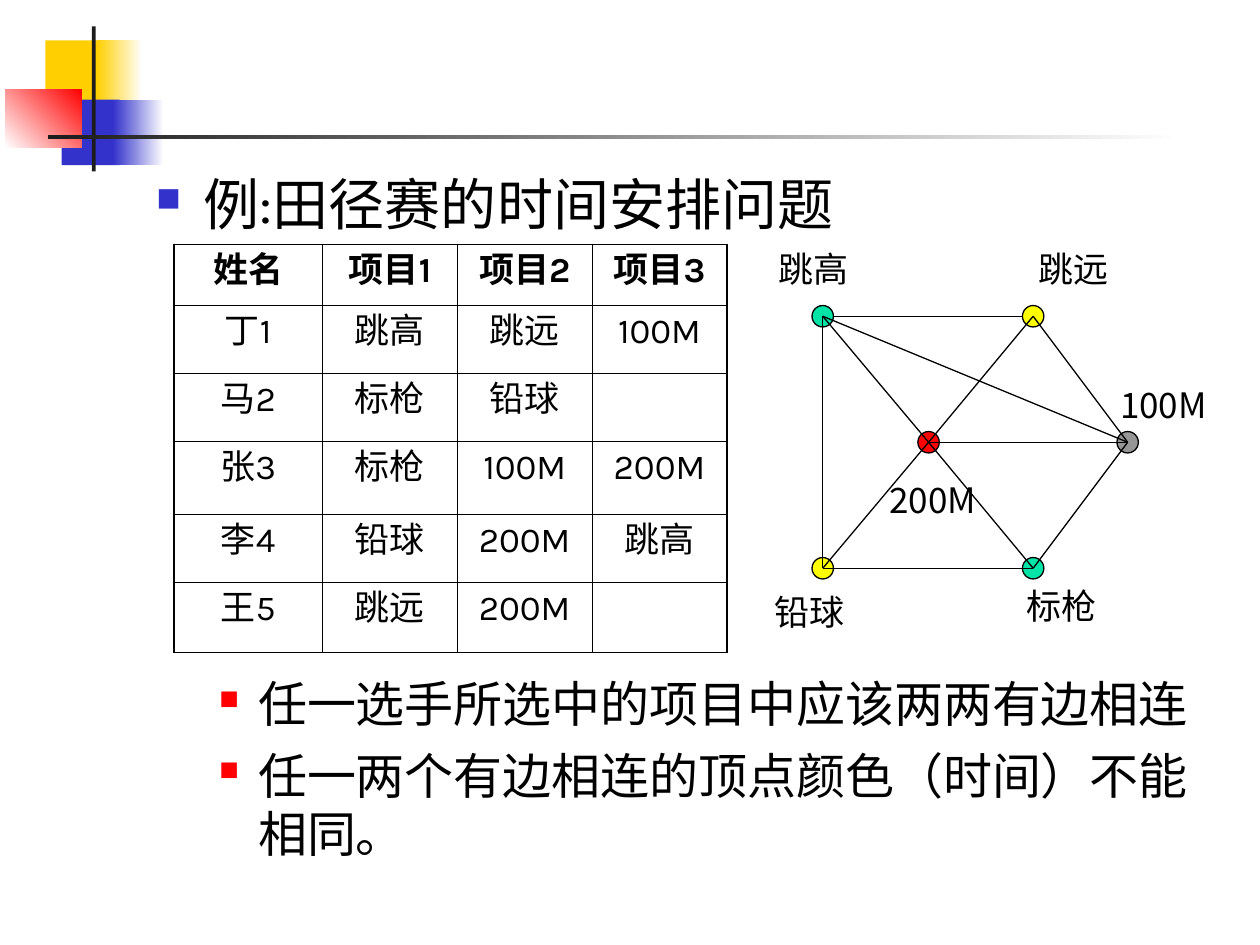
from lxml.etree import SubElement
from pptx import Presentation
from pptx.dml.color import RGBColor
from pptx.enum.shapes import MSO_CONNECTOR, MSO_SHAPE
from pptx.enum.text import MSO_AUTO_SIZE, PP_ALIGN
from pptx.oxml import parse_xml
from pptx.oxml.ns import nsdecls, qn
from pptx.util import Inches, Pt

BLACK = RGBColor(0x00, 0x00, 0x00)
WHITE = RGBColor(0xFF, 0xFF, 0xFF)
CHARCOAL = RGBColor(0x1C, 0x1C, 0x1C)
GOLD = RGBColor(0xFF, 0xCF, 0x01)
BLUE = RGBColor(0x33, 0x33, 0xCC)
RED = RGBColor(0xFF, 0x00, 0x00)
GREEN = RGBColor(0x00, 0xE4, 0xA8)
YELLOW = RGBColor(0xFF, 0xFF, 0x00)
GRAY = RGBColor(0x96, 0x96, 0x96)
BODY_FONT, LABEL_FONT = "Karla", "Noto Sans CJK JP"

# left, top, width, height, fill: one colour, or (from, to, angle)
DECOR = [
    (0.36, 0.32, 0.48, 0.52, GOLD),
    (0.77, 0.32, 0.36, 0.52, (WHITE, GOLD, 180)),
    (0.49, 0.79, 0.46, 0.52, BLUE),
    (0.9, 0.79, 0.4, 0.52, (WHITE, BLUE, 180)),
    (0.04, 0.71, 0.61, 0.46, (RED, WHITE, 225)),
    (0.73, 0.21, 0.03, 1.15, CHARCOAL),
    (0.38, 1.07, 9, 0.03, (WHITE, CHARCOAL, 180)),
]
HEADING = "例:田径赛的时间安排问题"
RULES = ["任一选手所选中的项目中应该两两有边相连",
         "任一两个有边相连的顶点颜色（时间）不能相同。"]

ENTRIES = [
    ["姓名", "项目1", "项目2", "项目3"],
    ["丁1", "跳高", "跳远", "100M"],
    ["马2", "标枪", "铅球", ""],
    ["张3", "标枪", "100M", "200M"],
    ["李4", "铅球", "200M", "跳高"],
    ["王5", "跳远", "200M", ""],
]
COL_WIDTHS = [1.18, 1.07, 1.07, 1.07]
ROW_HEIGHTS = [0.48, 0.54, 0.54, 0.58, 0.54, 0.56]
OUTER, INNER = 1.08, 0.45

# event: centre x, centre y, colour, label left, label top, label width
EVENTS = {
    "跳高": (6.53, 2.51, GREEN, 6.06, 1.84, 0.8),
    "跳远": (8.2, 2.51, YELLOW, 8.12, 1.84, 0.8),
    "200M": (7.37, 3.51, RED, 6.94, 3.67, 0.96),
    "铅球": (6.53, 4.51, YELLOW, 6.03, 4.56, 0.8),
    "标枪": (8.2, 4.51, GREEN, 8.03, 4.51, 0.8),
    "100M": (8.95, 3.51, GRAY, 8.77, 2.92, 0.96),
}
CONFLICTS = [
    ("铅球", "标枪"), ("200M", "铅球"), ("跳高", "200M"), ("200M", "跳远"),
    ("200M", "标枪"), ("200M", "100M"), ("跳远", "100M"), ("100M", "标枪"),
    ("跳高", "铅球"), ("跳高", "100M"),
]
DIAMETER = 0.17


def write(p, text, size=20, font=BODY_FONT, bold=False, align=None,
          bullet=None, before=None, spacing=None):
    """Fill a paragraph; bullet is (colour, percent, margin, hanging)."""
    if bullet:
        color, percent, margin, hanging = bullet
        pPr = p._p.get_or_add_pPr()
        pPr.set("marL", str(Inches(margin)))
        pPr.set("indent", str(-Inches(hanging)))
        SubElement(SubElement(pPr, qn("a:buClr")), qn("a:srgbClr"), val=str(color))
        SubElement(pPr, qn("a:buSzPct"), val=str(percent * 1000))
        SubElement(pPr, qn("a:buChar"), char="■")
    if align is not None:
        p.alignment = align
    if before is not None:
        p.space_before = Pt(before)
    if spacing is not None:
        p.line_spacing = spacing
    r = p.add_run()
    r.text = text
    r.font.size, r.font.bold, r.font.name = Pt(size), bold, font
    r.font.color.rgb = BLACK
    r.font._element.find(qn("a:latin")).addnext(
        parse_xml(f'<a:ea {nsdecls("a")} typeface="{font}"/>'))


def add_text(slide, box, lines, inset=(0.1, 0.05), wrap=True, **fmt):
    tf = slide.shapes.add_textbox(*map(Inches, box)).text_frame
    tf.word_wrap = wrap
    tf.auto_size = MSO_AUTO_SIZE.NONE if wrap else MSO_AUTO_SIZE.SHAPE_TO_FIT_TEXT
    tf.margin_left = tf.margin_right = Inches(inset[0])
    tf.margin_top = tf.margin_bottom = Inches(inset[1])
    before = fmt.pop("before", None)
    for i, line in enumerate(lines):
        p = tf.add_paragraph() if i else tf.paragraphs[0]
        write(p, line, before=before if i else None, **fmt)


def add_filled(slide, kind, box, fill, outlined=False):
    sp = slide.shapes.add_shape(kind, *map(Inches, box))
    sp.shadow.inherit = False
    if isinstance(fill, tuple) and not isinstance(fill, RGBColor):
        sp.fill.gradient()
        sp.fill.gradient_angle = fill[2]
        for stop, color in zip(sp.fill.gradient_stops, fill):
            stop.color.rgb = color
    else:
        sp.fill.solid()
        sp.fill.fore_color.rgb = fill
    if outlined:
        sp.line.color.rgb, sp.line.width = BLACK, Pt(0.75)
    else:
        sp.line.fill.background()


def add_edge(slide, x1, y1, x2, y2):
    line = slide.shapes.add_connector(
        MSO_CONNECTOR.STRAIGHT, *map(Inches, (x1, y1, x2, y2)))
    line.line.color.rgb, line.line.width = BLACK, Pt(0.75)
    SubElement(line._element.spPr, qn("a:effectLst"))


def set_borders(cell, widths):
    """Draw the left, right, top and bottom borders, in points."""
    tcPr = cell._tc.get_or_add_tcPr()
    for i, (side, width) in enumerate(zip("LRTB", widths)):
        tcPr.insert(i, parse_xml(
            f'<a:ln{side} {nsdecls("a")} w="{Pt(width)}"><a:solidFill>'
            f'<a:srgbClr val="{BLACK}"/></a:solidFill></a:ln{side}>'))


def add_entries(slide):
    n_rows, n_cols = len(ENTRIES), len(COL_WIDTHS)
    table = slide.shapes.add_table(
        n_rows, n_cols, Inches(1.38), Inches(1.94),
        Inches(sum(COL_WIDTHS)), Inches(sum(ROW_HEIGHTS))).table
    table.first_row = table.horz_banding = False
    for col, width in zip(table.columns, COL_WIDTHS):
        col.width = Inches(width)
    for i, (row, height) in enumerate(zip(table.rows, ROW_HEIGHTS)):
        row.height = Inches(height)
        for j, cell in enumerate(row.cells):
            cell.fill.background()
            cell.margin_left = cell.margin_right = Inches(0.12)
            edges = (j == 0, j == n_cols - 1, i == 0, i == n_rows - 1)
            set_borders(cell, [OUTER if edge else INNER for edge in edges])
            if ENTRIES[i][j]:
                write(cell.text_frame.paragraphs[0], ENTRIES[i][j],
                      bold=i == 0, align=PP_ALIGN.CENTER)


def add_conflict_graph(slide):
    radius = DIAMETER / 2
    for x, y, color, *_ in EVENTS.values():
        add_filled(slide, MSO_SHAPE.OVAL,
                   (x - radius, y - radius, DIAMETER, DIAMETER), color, outlined=True)
    (x1, y1), (x2, y2) = EVENTS["跳高"][:2], EVENTS["跳远"][:2]
    add_edge(slide, x1 + radius, y1, x2 - radius, y2)
    for a, b in CONFLICTS:
        add_edge(slide, *EVENTS[a][:2], *EVENTS[b][:2])
    for name, (_, _, _, left, top, width) in EVENTS.items():
        add_text(slide, (left, top, width, 0.52), [name], inset=(0.12, 0.06),
                 wrap=False, font=LABEL_FONT, spacing=1.2)


def main():
    prs = Presentation()
    prs.slide_width, prs.slide_height = Inches(10), Inches(7.5)
    slide = prs.slides.add_slide(prs.slide_layouts[6])
    for *box, fill in DECOR:
        add_filled(slide, MSO_SHAPE.RECTANGLE, box, fill)
    add_text(slide, (1.14, 1.3, 8.65, 0.64), [HEADING], size=32,
             bullet=(BLUE, 60, 0.38, 0.38))
    add_text(slide, (1.14, 5.3, 8.65, 1.84), RULES, size=28, before=7,
             bullet=(RED, 55, 0.81, 0.31))
    add_entries(slide)
    add_conflict_graph(slide)
    prs.save("out.pptx")


if __name__ == "__main__":
    main()
